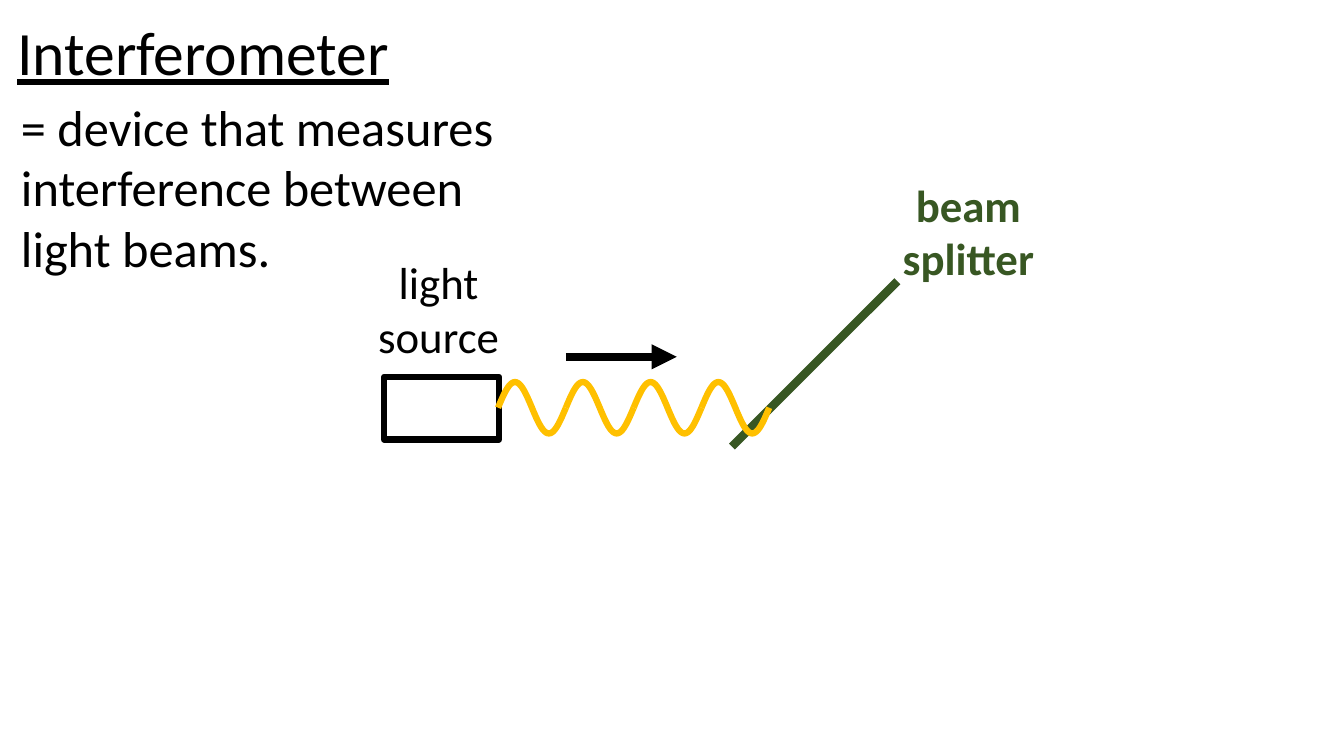
import math

import pptx
import pptx.dml.color
import pptx.enum.shapes
import pptx.enum.text
import pptx.oxml.ns
import pptx.util
from lxml import etree
from pptx.util import Inches

BLACK = pptx.dml.color.RGBColor(0x00, 0x00, 0x00)
GREEN = pptx.dml.color.RGBColor(0x38, 0x57, 0x23)
AMBER = pptx.dml.color.RGBColor(0xFF, 0xC0, 0x00)
FONT = "Calibri"
PERIODS = 4
STEPS_PER_PERIOD = 48


def write_text(shape, text, size, color=BLACK, centered=False, bold=False, underline=False):
    frame = shape.text_frame
    frame.text = text
    frame.word_wrap = True
    frame.auto_size = pptx.enum.text.MSO_AUTO_SIZE.SHAPE_TO_FIT_TEXT
    frame.vertical_anchor = pptx.enum.text.MSO_ANCHOR.TOP
    alignment = pptx.enum.text.PP_ALIGN
    paragraph = frame.paragraphs[0]
    paragraph.alignment = alignment.CENTER if centered else alignment.LEFT
    font = paragraph.runs[0].font
    font.name = FONT
    font.size = pptx.util.Pt(size)
    font.color.rgb = color
    font.bold = bold
    font.underline = underline


def add_label(slide, left, top, width, height, text, size, **style):
    box = slide.shapes.add_textbox(Inches(left), Inches(top), Inches(width), Inches(height))
    write_text(box, text, size, **style)


def add_line(slide, start, end, color, width, arrow=False):
    connector = slide.shapes.add_connector(
        pptx.enum.shapes.MSO_CONNECTOR.STRAIGHT, *map(Inches, (*start, *end)))
    connector.line.color.rgb = color
    connector.line.width = pptx.util.Pt(width)
    if arrow:
        outline = connector.line._get_or_add_ln()
        etree.SubElement(outline, pptx.oxml.ns.qn("a:tailEnd"), type="triangle")
    properties = connector._element.spPr
    etree.SubElement(properties, pptx.oxml.ns.qn("a:effectLst"))


def outline_only(shape, color, width):
    shape.shadow.inherit = False
    shape.fill.background()
    shape.line.color.rgb = color
    shape.line.width = pptx.util.Pt(width)


def add_title(slide, left, top, width, height):
    title = slide.shapes.title
    title.left, title.top = Inches(left), Inches(top)
    title.width, title.height = Inches(width), Inches(height)
    write_text(title, "Interferometer", 44, underline=True)


def add_beam_splitter(slide, left, top, side):
    # Diagonal plate with its label at the upper end
    add_line(slide, (left + side, top), (left, top + side), GREEN, 6)
    add_label(slide, left + 1.56, top - 1.08, 1.57, 1.18, "beam splitter", 32,
              color=GREEN, centered=True, bold=True)


def add_light_source(slide, left, top, width, height):
    source = slide.shapes.add_shape(
        pptx.enum.shapes.MSO_SHAPE.RECTANGLE,
        Inches(left), Inches(top), Inches(width), Inches(height))
    outline_only(source, BLACK, 4.5)
    add_label(slide, left - 0.27, top - 1.26, 1.62, 1.18, "light source", 32, centered=True)


def add_light_wave(slide, left, top, width, height):
    # One sine curve for each period
    period = width / PERIODS
    middle = top + height / 2
    for index in range(PERIODS):
        start = left + index * period
        points = []
        for step in range(1, STEPS_PER_PERIOD + 1):
            phase = step / STEPS_PER_PERIOD
            y = middle - height / 2 * math.sin(2 * math.pi * phase)
            points.append((Inches(start + phase * period), Inches(y)))
        builder = slide.shapes.build_freeform(Inches(start), Inches(middle))
        builder.add_line_segments(points, close=False)
        outline_only(builder.convert_to_shape(), AMBER, 4.5)
    # Direction of travel
    arrow_y = top - 0.25
    add_line(slide, (left + period, arrow_y), (left + period + 1.1, arrow_y),
             BLACK, 6, arrow=True)


def main():
    presentation = pptx.Presentation()
    presentation.slide_width = Inches(13.33)
    presentation.slide_height = Inches(7.5)
    slide = presentation.slides.add_slide(presentation.slide_layouts.get_by_name("Title Only"))

    add_title(slide, 0.07, 0.09, 4, 0.84)
    add_beam_splitter(slide, 7.26, 2.79, 1.64)
    add_light_source(slide, 3.81, 3.74, 1.14, 0.62)
    # Definition
    add_label(slide, 0.11, 0.9, 5.03, 1.92,
              "= device that measures interference between light beams.", 36)
    add_light_wave(slide, 4.94, 3.79, 2.69, 0.51)

    presentation.save("out.pptx")


if __name__ == "__main__":
    main()
